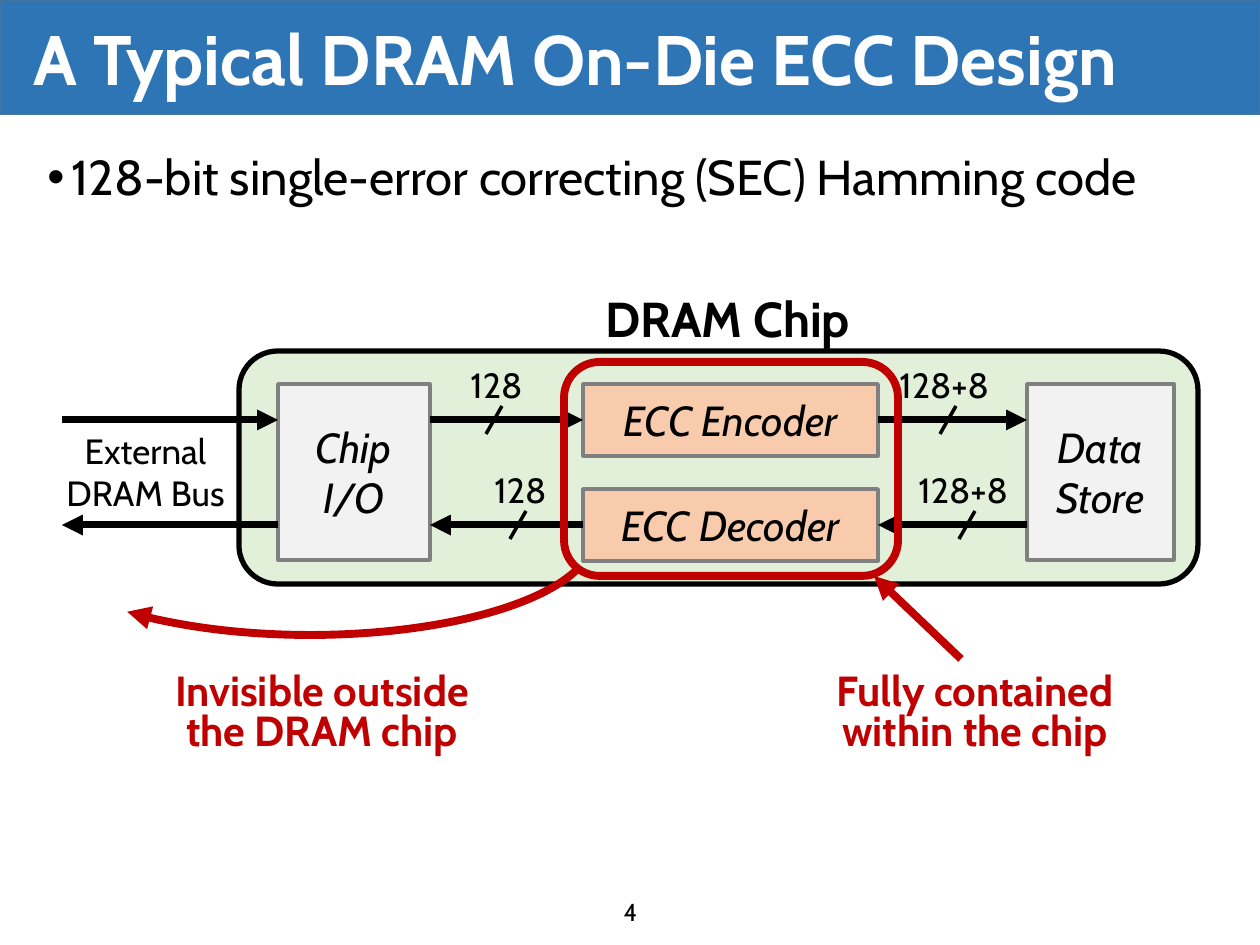
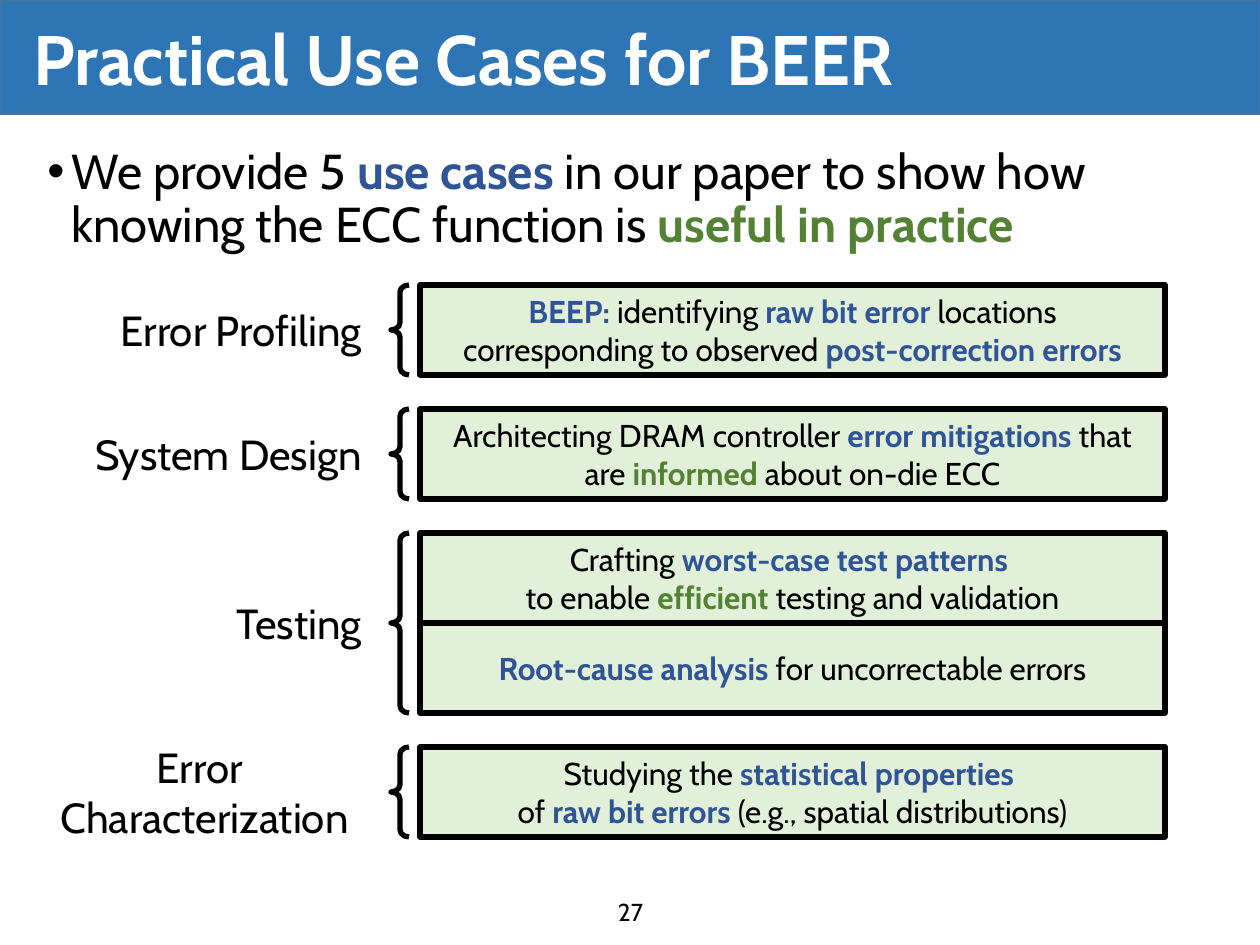
from pptx import Presentation
from pptx.dml.color import RGBColor
from pptx.enum.shapes import MSO_CONNECTOR as Link, MSO_SHAPE as Shape
from pptx.enum.text import MSO_ANCHOR as Anchor, MSO_AUTO_SIZE as AutoSize, PP_ALIGN as Align
from pptx.oxml.ns import qn
from pptx.util import Pt
from lxml.etree import SubElement

PX = 914400 / 126
FONT = "Cabin"
COLORS = {
    "band": "2E75B6", "band_edge": "43739E", "white": "FFFFFF", "black": "000000",
    "blue": "2F5597", "green": "548235", "red": "C00000", "mint": "E2F0D9",
    "peach": "F8CBAD", "pale": "F2F2F2", "gray": "808080",
}

BAND = (0, 0, 1260, 114)
TITLE_AREA = (21, 11, 1215, 103)
NUMBER_AREA = (489, 891, 283, 39)

DESIGN = {
    "title": "A Typical DRAM On-Die ECC Design",
    "number": "4",
    "bullet": ["128-bit single-error correcting (SEC) Hamming code"],
    "bullet_area": (35, 147, 1191, 68),
}
USES = {
    "title": "Practical Use Cases for BEER",
    "number": "27",
    "bullet": ["We provide 5 ", ("blue", "use cases "),
               "in our paper to show how knowing the ECC function is ",
               ("green", "useful in practice")],
    "bullet_area": (35, 141, 1191, 130),
}

CHIP = (239, 351, 959, 233)
BLOCKS = {
    "store": ((1027, 384, 147, 176), "pale", [["Data"], ["Store"]]),
    "io": ((278, 384, 152, 176), "pale", [["Chip"], ["I/O"]]),
    "encoder": ((583, 384, 295, 72), "peach", [["ECC Encoder"]]),
    "decoder": ((583, 489, 295, 72), "peach", [["ECC Decoder"]]),
}
WRITE_Y, READ_Y = 420, 525
WIRES = [
    (("encoder", 3), (1027, WRITE_Y)),
    ((1027, READ_Y), ("decoder", 3)),
    ((430, WRITE_Y), ("encoder", 1)),
    (("decoder", 1), (430, READ_Y)),
    ((62, WRITE_Y), (278, WRITE_Y)),
    ((278, READ_Y), (62, READ_Y)),
]
BUS_WIDTHS = [
    ("128", 494, WRITE_Y, 36), ("128", 518, READ_Y, 36),
    ("128+8", 967, READ_Y, 61), ("128+8", 948, WRITE_Y, 61),
]
CAPTIONS = [
    ((44, 423, 203, 97), [["External DRAM Bus"]], {"size": 20}),
    ((583, 282, 289, 72), [["DRAM Chip"]], {"size": 28, "bold": True}),
]
CALLOUTS = [
    ((794, 668, 362, 97), [["Fully contained within the chip"]]),
    ((141, 668, 362, 97), [["Invisible outside"], ["the DRAM chip"]]),
]
ECC_OUTLINE = (564, 362, 334, 214)
ESCAPE_ARC = (26, 437, 568, 198)
ARC_ANGLES = (4.08, 94.48)
INSIDE_ARROW = ((961, 659), (874, 576))

USE_CASES = [
    ([["Error Profiling"]], [
        [[("blue", "BEEP: "), "identifying ", ("blue", "raw bit error "),
          "locations corresponding to observed ", ("blue", "post-correction errors")]],
    ]),
    ([["System Design"]], [
        [["Architecting DRAM controller ", ("blue", "error mitigations "), "that are ",
          ("green", "informed"), " about on-die ECC"]],
    ]),
    ([["Testing"]], [
        [["Crafting ", ("blue", "worst-case test patterns ")],
         ["to enable ", ("green", "efficient "), "testing and validation"]],
        [[("blue", "Root-cause analysis "), "for uncorrectable errors"]],
    ]),
    ([["Error "], ["Characterization"]], [
        [["Studying the ", ("blue", "statistical properties ")],
         ["of ", ("blue", "raw bit errors "), "(e.g., spatial distributions)"]],
    ]),
]
CASE_TOP, CASE_HEIGHT, CASE_GAP = 285, 90, 34
CASE_LEFT, CASE_WIDTH = 420, 745
BRACE_LEFT, BRACE_WIDTH = 391, 18
LABEL_RIGHT = 374


def emu(*lengths):
    return [round(length * PX) for length in lengths]


def color(name):
    return RGBColor.from_string(COLORS[name])


def set_all(target, values):
    for name, value in values.items():
        setattr(target, name, value)


def write(box, paras, size=18, tint="black", bold=False, italic=False,
          anchor=Anchor.TOP, **layout):
    frame = box.text_frame
    set_all(frame, {"word_wrap": True, "auto_size": AutoSize.NONE, "vertical_anchor": anchor})
    for index, spans in enumerate(paras):
        para = frame.add_paragraph() if index else frame.paragraphs[0]
        set_all(para, {"alignment": Align.CENTER, **layout})
        for part in spans:
            marked = isinstance(part, tuple)
            name, text = part if marked else (tint, part)
            span = para.add_run()
            span.text = text
            set_all(span.font, {"name": FONT, "size": Pt(size),
                                "bold": bold or marked, "italic": italic})
            span.font.color.rgb = color(name)
    return box


def add_text(page, area, paras, **style):
    return write(page.shapes.add_textbox(*emu(*area)), paras, **style)


def add_box(page, kind, area, fill, edge, weight):
    box = page.shapes.add_shape(kind, *emu(*area))
    box.shadow.inherit = False
    if fill:
        box.fill.solid()
        box.fill.fore_color.rgb = color(fill)
    else:
        box.fill.background()
    box.line.color.rgb = color(edge)
    box.line.width = Pt(weight)
    return box


def add_arrowhead(item):
    SubElement(item.line._get_or_add_ln(), qn("a:tailEnd"), type="triangle")


def add_line(page, start, end, tint, weight, arrow=True):
    line = page.shapes.add_connector(Link.STRAIGHT, *emu(*start, *end))
    line.line.color.rgb = color(tint)
    line.line.width = Pt(weight)
    if arrow:
        add_arrowhead(line)
    SubElement(line._element.spPr, qn("a:effectLst"))
    return line


def side_point(end):
    if end[0] not in BLOCKS:
        return end
    left, top, width, height = BLOCKS[end[0]][0]
    return left + (width if end[1] == 3 else 0), top + height // 2


def add_page(deck, content):
    page = deck.slides.add_slide(deck.slide_layouts[5])
    band = add_box(page, Shape.RECTANGLE, BAND, "band", "band_edge", 1)
    page.shapes._spTree.insert(2, band._element)
    title = page.shapes.title
    set_all(title, dict(zip(("left", "top", "width", "height"), emu(*TITLE_AREA))))
    write(title, [[content["title"]]], size=40, tint="white", bold=True,
          anchor=Anchor.MIDDLE, alignment=Align.LEFT, line_spacing=0.9)
    body = add_text(page, content["bullet_area"], [content["bullet"]], size=28,
                    alignment=Align.LEFT, line_spacing=0.9, space_before=Pt(7.5))
    props = body.text_frame.paragraphs[0]._p.get_or_add_pPr()
    indent = emu(24)[0]
    props.set("marL", str(indent))
    props.set("indent", str(-indent))
    SubElement(props, qn("a:buFont"), typeface="Arial")
    SubElement(props, qn("a:buChar"), char="•")
    add_text(page, NUMBER_AREA, [[content["number"]]], size=14)
    return page


def draw_design(page):
    add_box(page, Shape.ROUNDED_RECTANGLE, CHIP, "mint", "black", 3)
    blocks = {}
    for name, (area, fill, paras) in BLOCKS.items():
        blocks[name] = add_box(page, Shape.RECTANGLE, area, fill, "gray", 2)
        write(blocks[name], paras, size=24, italic=True, anchor=Anchor.MIDDLE)
    for start, end in WIRES:
        wire = add_line(page, side_point(start), side_point(end), "black", 4)
        if start[0] in blocks:
            wire.begin_connect(blocks[start[0]], start[1])
        if end[0] in blocks:
            wire.end_connect(blocks[end[0]], end[1])
    for text, x, y, offset in BUS_WIDTHS:
        add_line(page, (x + 8, y - 14), (x - 8, y + 14), "black", 2, arrow=False)
        add_text(page, (x - offset, y - 63, 150, 69), [[text]], size=20, alignment=Align.LEFT)
    for area, paras, style in CAPTIONS:
        add_text(page, area, paras, **style)
    for area, paras in CALLOUTS:
        add_text(page, area, paras, size=24, tint="red", bold=True, line_spacing=0.8)
    add_line(page, *INSIDE_ARROW, "red", 4.5)
    add_box(page, Shape.ROUNDED_RECTANGLE, ECC_OUTLINE, None, "red", 4.5)
    arc = add_box(page, Shape.ARC, ESCAPE_ARC, None, "red", 4.5)
    arc.adjustments[0], arc.adjustments[1] = ARC_ANGLES
    add_arrowhead(arc)


def draw_uses(page):
    top = CASE_TOP
    for label, cases in USE_CASES:
        height = CASE_HEIGHT * len(cases)
        for index, paras in enumerate(cases):
            area = (CASE_LEFT, top + index * CASE_HEIGHT, CASE_WIDTH, CASE_HEIGHT)
            write(add_box(page, Shape.RECTANGLE, area, "mint", "black", 3), paras,
                  anchor=Anchor.MIDDLE)
        brace = add_box(page, Shape.LEFT_BRACE, (BRACE_LEFT, top, BRACE_WIDTH, height),
                        None, "black", 3)
        brace.adjustments[0] = 0.4
        single = len(label) == 1
        width, tall = (295, 63) if single else (339, 115)
        add_text(page, (LABEL_RIGHT - width, top + (height - tall) // 2, width, tall), label,
                 size=24, anchor=Anchor.MIDDLE,
                 alignment=Align.RIGHT if single else Align.CENTER)
        top += height + CASE_GAP


def main():
    deck = Presentation()
    deck.slide_width, deck.slide_height = emu(1260, 945)
    draw_design(add_page(deck, DESIGN))
    draw_uses(add_page(deck, USES))
    deck.save("out.pptx")


if __name__ == "__main__":
    main()
